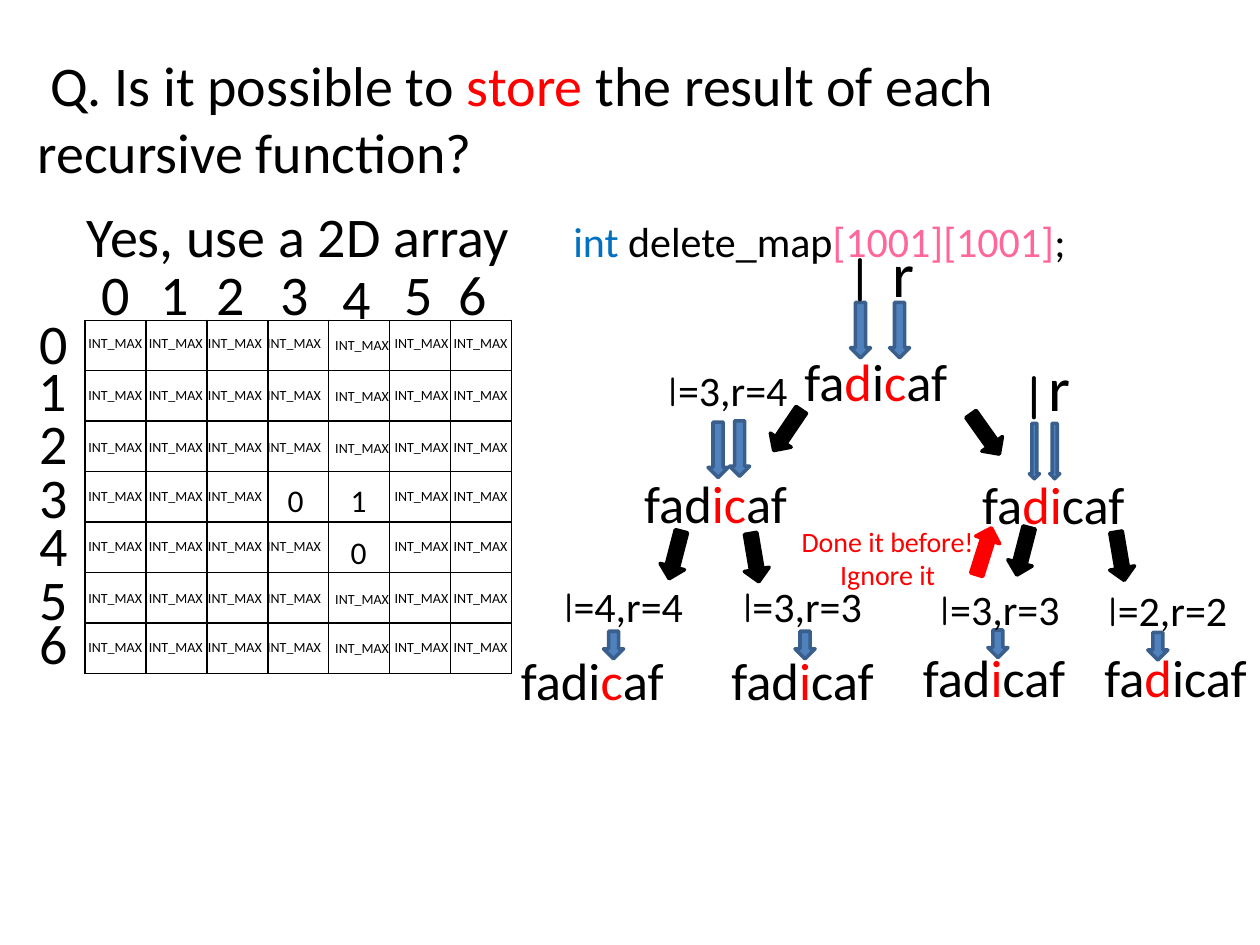
"""Build a slide on storing recursive palindrome results in a 2D array."""
from lxml import etree
from pptx import Presentation
from pptx import util as u
from pptx.dml.color import RGBColor
from pptx.enum import shapes, text
from pptx.oxml import ns

COLORS = {"black": "000000", "red": "FF0000", "keyword": "0070C0", "index": "FF6699",
          "blue": "4F81BD", "outline": "3A5F8C"}
BODY, COMIC = "Calibri", "Comic Neue"

TITLE = "\u00a0Q. Is it possible to *store* the result of each recursive function?".replace("\u00a0", " ")
ANSWER = [("Yes, use a 2D array", 32, "black"), ("\t", 24, "black"), ("int ", 24, "keyword"),
          ("delete_map", 24, "black"), ("[1001][1001]", 24, "index"), (";", 24, "black")]
CODE_TAB = 278

SIZE = 7
TABLE_LEFT, TABLE_TOP, COL_W, ROW_H = 48.5, 183, 34.85, 28.1
COL_HEADS = [(36.7, 144.7), (70.6, 144.7), (102.2, 144.7), (139, 144.7),
             (174.2, 146.9), (209.5, 144.7), (240.5, 144.7)]
ROW_HEADS = [(1.4, 172.8), (0.7, 199.4), (1.4, 229.7), (1.4, 260.6),
             (1.4, 288), (1.4, 319), (1.4, 344.2)]
CELL_X = [43.2, 77.8, 111.6, 145.4, 184.3, 218.2, 252]
CELL_Y = [187.9, 217.4, 247, 275, 303.8, 333.4, 361.4]
STORED = {(3, 3): ("0", 157, 271.4), (3, 4): ("1", 193, 271.4), (4, 4): ("0", 193, 301)}

WORDS = [("fa*d*i*c*af", 452.2, 195.8), ("fad*ic*af", 360.7, 265.7),
         ("fa*di*caf", 553.7, 266.4), ("fadi*c*af", 290.2, 366.5),
         ("fad*i*caf", 410.4, 366.5), ("fad*i*caf", 519.8, 365),
         ("fa*d*icaf", 623.5, 365)]
POINTERS = [("l", COMIC, 462.2, 132.5), ("r", BODY, 486.7, 130.3),
            ("l", COMIC, 561.6, 200.2), ("r", BODY, 576, 195.8)]
STATES = [("=3,r=4", 335.5, 204.5, 161.3), ("=4,r=4", 275.8, 328.3, 161.3),
          ("=3,r=3", 378, 328.3, 161.3), ("=3,r=3", 491, 329.8, 161.3),
          ("=2,r=2", 625.7, 330.5, 83.5)]
POINTER_ARROWS = [(486, 172.8, 11.5, 31.7), (508.3, 172.8, 11.5, 31.7),
                  (404.6, 241.2, 11.5, 31.7), (416.9, 240.5, 11.5, 31.7),
                  (588.2, 241.9, 5.8, 31.7), (599.8, 241.9, 5.8, 31.7),
                  (344.9, 360.7, 11.5, 15.8), (454.3, 360.7, 11.5, 15.8),
                  (564.5, 360, 11.5, 15.8), (655.9, 361.4, 11.5, 15.8)]
CALL_ARROWS = [(442.8, 231.8, 34.1, "black"), (378.7, 303.1, 14.5, "black"),
               (424.1, 304.6, 350.4, "black"), (555.8, 234, 324.6, "black"),
               (577.4, 301, 14.5, "black"), (632.9, 303.8, 350.4, "black"),
               (555.1, 301, 197.5, "red")]


def rgb(name):
    return RGBColor.from_string(COLORS[name])


def add_run(p, words, size, color="black", font=BODY):
    r = p.add_run()
    r.text = words
    r.font.size, r.font.name = u.Pt(size), font
    r.font.color.rgb = rgb(color)


def add_marked(p, words, size):
    for i, part in enumerate(words.split("*")):
        add_run(p, part, size, "red" if i % 2 else "black")


def add_box(s, x, y, w, h, wrap=True, centered=True):
    sp = s.shapes.add_textbox(u.Pt(x), u.Pt(y), u.Pt(w), u.Pt(h))
    tf = sp.text_frame
    tf.word_wrap = wrap
    p = tf.paragraphs[0]
    if centered:
        tf.auto_size = text.MSO_AUTO_SIZE.SHAPE_TO_FIT_TEXT
        p.alignment = text.PP_ALIGN.CENTER
    return tf, p


def add_arrow(s, x, y, w, h, fill, line, rotation=0):
    sp = s.shapes.add_shape(shapes.MSO_SHAPE.DOWN_ARROW, u.Pt(x), u.Pt(y), u.Pt(w), u.Pt(h))
    sp.rotation = rotation
    sp.shadow.inherit = False
    sp.fill.solid()
    sp.fill.fore_color.rgb = rgb(fill)
    sp.line.color.rgb = rgb(line)
    sp.line.width = u.Pt(2)


def add_grid(s):
    table = s.shapes.add_table(SIZE, SIZE, u.Pt(TABLE_LEFT), u.Pt(TABLE_TOP),
                               u.Pt(SIZE * COL_W), u.Pt(SIZE * ROW_H)).table
    for col in table.columns:
        col.width = u.Pt(COL_W)
    for row in table.rows:
        row.height = u.Pt(ROW_H)
    for cell in table.iter_cells():
        tc_pr = cell._tc.get_or_add_tcPr()
        for side in ("lnL", "lnR", "lnT", "lnB"):
            ln = etree.SubElement(tc_pr, ns.qn("a:" + side), w=str(u.Pt(1)))
            fill = etree.SubElement(ln, ns.qn("a:solidFill"))
            etree.SubElement(fill, ns.qn("a:srgbClr"), val=COLORS["black"])
        cell.fill.background()


def add_headings(s):
    tf, p = add_box(s, 14.4, 9.4, 612, 115.9, centered=False)
    tf.vertical_anchor = text.MSO_ANCHOR.MIDDLE
    add_marked(p, TITLE, 32)
    _, p = add_box(s, 42.5, 111.6, 635, 46.8, centered=False)
    tabs = etree.SubElement(p._p.get_or_add_pPr(), ns.qn("a:tabLst"))
    etree.SubElement(tabs, ns.qn("a:tab"), pos=str(u.Pt(CODE_TAB)), algn="l")
    for words, size, color in ANSWER:
        add_run(p, words, size, color)


def add_array(s):
    add_grid(s)
    for heads in (COL_HEADS, ROW_HEADS):
        for i, (x, y) in enumerate(heads):
            add_run(add_box(s, x, y, 59, 46)[1], str(i), 32)
    for row, y in enumerate(CELL_Y):
        for col, x in enumerate(CELL_X):
            if (row, col) in STORED:
                value, left, top = STORED[row, col]
                add_run(add_box(s, left, top, 23.8, 28.8, wrap=False)[1], value, 18)
            else:
                top = y + (0.7 if col == 4 else 0)
                add_run(add_box(s, x, top, 45.4, 17.3, wrap=False)[1], "INT_MAX", 8)


def add_call_tree(s):
    for x, y, w, h in POINTER_ARROWS:
        add_arrow(s, x, y, w, h, "blue", "outline")
    for x, y, rotation, color in CALL_ARROWS:
        add_arrow(s, x, y, 14.4, 28.1, color, color, rotation)
    for words, x, y in WORDS:
        add_marked(add_box(s, x, y, 96.5, 43.9, wrap=False)[1], words, 30)
    for letter, font, x, y in POINTERS:
        add_run(add_box(s, x, y, 59, 51)[1], letter, 36, font=font)
    for words, x, y, w in STATES:
        _, p = add_box(s, x, y, w, 36, wrap=w > 100)
        add_run(p, "l", 24, font=COMIC)
        add_run(p, words, 24)
    _, p = add_box(s, 450, 295.9, 114.5, 46, wrap=False)
    add_run(p, "Done it before!", 16, "red")
    p.add_line_break()
    add_run(p, "Ignore it", 16, "red")


def main():
    prs = Presentation()
    prs.slide_width, prs.slide_height = u.Pt(720), u.Pt(540)
    s = prs.slides.add_slide(prs.slide_layouts[6])
    add_headings(s)
    add_array(s)
    add_call_tree(s)
    prs.save("out.pptx")


if __name__ == "__main__":
    main()
